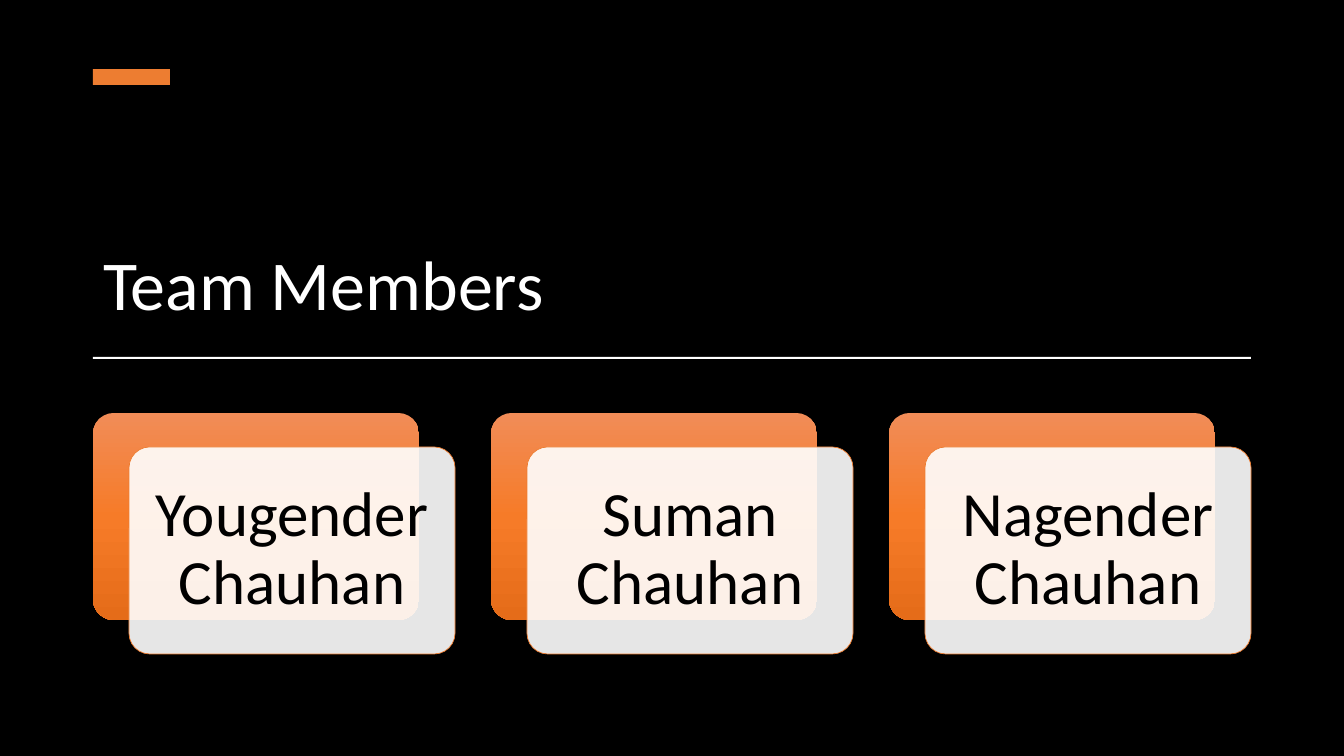
from collections import namedtuple
from copy import deepcopy

from pptx import Presentation
from pptx.dml.color import RGBColor
from pptx.enum.shapes import MSO_SHAPE
from pptx.enum.text import MSO_ANCHOR, MSO_AUTO_SIZE, PP_ALIGN
from pptx.oxml import parse_xml
from pptx.oxml.ns import nsdecls, qn
from pptx.util import Emu, Pt

BLACK = RGBColor(0x00, 0x00, 0x00)
WHITE = RGBColor(0xFF, 0xFF, 0xFF)
ORANGE = RGBColor(0xED, 0x7D, 0x31)
GRADIENT = (
    (0.0, RGBColor(0xF1, 0x8C, 0x57)),
    (0.5, RGBColor(0xF6, 0x7B, 0x28)),
    (1.0, RGBColor(0xE5, 0x6C, 0x19)),
)
PX_PER_INCH = 100.8
MEMBERS = ("Yougender Chauhan", "Suman Chauhan", "Nagender Chauhan")

Box = namedtuple("Box", "left top width height")


def px(length):
    """Turn a length in px into EMU."""
    return Emu(round(length * 914400 / PX_PER_INCH))


def set_all(target, values):
    """Set each attribute of target from a dict."""
    for name, value in values.items():
        setattr(target, name, value)


def add_block(page, kind, box, color=None):
    """Add a flat shape without line or shadow."""
    block = page.shapes.add_shape(kind, *map(px, box))
    block.shadow.inherit = False
    block.line.fill.background()
    if color is not None:
        block.fill.solid()
        block.fill.fore_color.rgb = color
    return block


def write_text(frame, text, size, color, frame_format, para_format):
    """Write one formatted paragraph into a text frame."""
    set_all(frame, {"word_wrap": True, "auto_size": MSO_AUTO_SIZE.NONE, **frame_format})
    para = frame.paragraphs[0]
    set_all(para, {"line_spacing": 0.9, **para_format})
    span = para.add_run()
    span.text = text
    set_all(span.font, {"name": "Calibri", "size": Pt(size)})
    span.font.color.rgb = color


def add_header(page, box):
    """Place the accent bar, the title and the rule under it."""
    add_block(page, MSO_SHAPE.RECTANGLE, Box(box.left, box.top, 77, 16), ORANGE)
    title_box = Box(box.left, box.top + 35, box.width, 227)
    title = page.shapes.title
    set_all(title, dict(zip(Box._fields, map(px, title_box))))
    write_text(title.text_frame, "Team Members", 50, WHITE,
               {"vertical_anchor": MSO_ANCHOR.BOTTOM}, {"alignment": PP_ALIGN.LEFT})
    rule_box = Box(box.left, box.top + box.height - 2, box.width, 2)
    add_block(page, MSO_SHAPE.RECTANGLE, rule_box, WHITE)


def fill_gradient(shape):
    """Fill a shape with the orange gradient from top to bottom."""
    shape.fill.gradient()
    shape.fill.gradient_angle = 270
    stop_list = shape.element.spPr.find(".//" + qn("a:gsLst"))
    stop_list.insert(1, deepcopy(stop_list[0]))
    for stop, (position, color) in zip(shape.fill.gradient_stops, GRADIENT):
        stop.position = position
        stop.color.rgb = color


def add_card(page, box, member):
    """Place an orange card with a translucent name card over it."""
    shift_x, shift_y = 36, 34
    width, height = box.width - shift_x, box.height - shift_y
    back = add_block(page, MSO_SHAPE.ROUNDED_RECTANGLE,
                     Box(box.left, box.top, width, height))
    fill_gradient(back)
    front = add_block(page, MSO_SHAPE.ROUNDED_RECTANGLE,
                      Box(box.left + shift_x, box.top + shift_y, width, height), WHITE)
    for card in (back, front):
        card.adjustments[0] = 0.1
    color = front.element.spPr.find(qn("a:solidFill"))[0]
    color.append(parse_xml(f'<a:alpha {nsdecls("a")} val="90000"/>'))
    front.line.color.rgb = ORANGE
    front.line.width = Pt(0.5)
    margins = {f"margin_{side}": px(19) for side in ("left", "top", "right", "bottom")}
    write_text(front.text_frame, member, 45, BLACK,
               {"vertical_anchor": MSO_ANCHOR.MIDDLE, **margins},
               {"alignment": PP_ALIGN.CENTER})


def add_team(page, box, members):
    """Spread one card per member evenly across the box."""
    card_width = 362
    pitch = (box.width - card_width) // (len(members) - 1)
    for index, member in enumerate(members):
        card_box = Box(box.left + index * pitch, box.top, card_width, box.height)
        add_card(page, card_box, member)


def main():
    """Build the team slide and save it."""
    deck = Presentation()
    set_all(deck, {"slide_width": px(1344), "slide_height": px(756)})
    page = deck.slides.add_slide(deck.slide_layouts[5])
    page.background.fill.solid()
    page.background.fill.fore_color.rgb = BLACK
    add_header(page, Box(93, 69, 1158, 290))
    add_team(page, Box(93, 413, 1158, 241), MEMBERS)
    deck.save("out.pptx")


if __name__ == "__main__":
    main()
